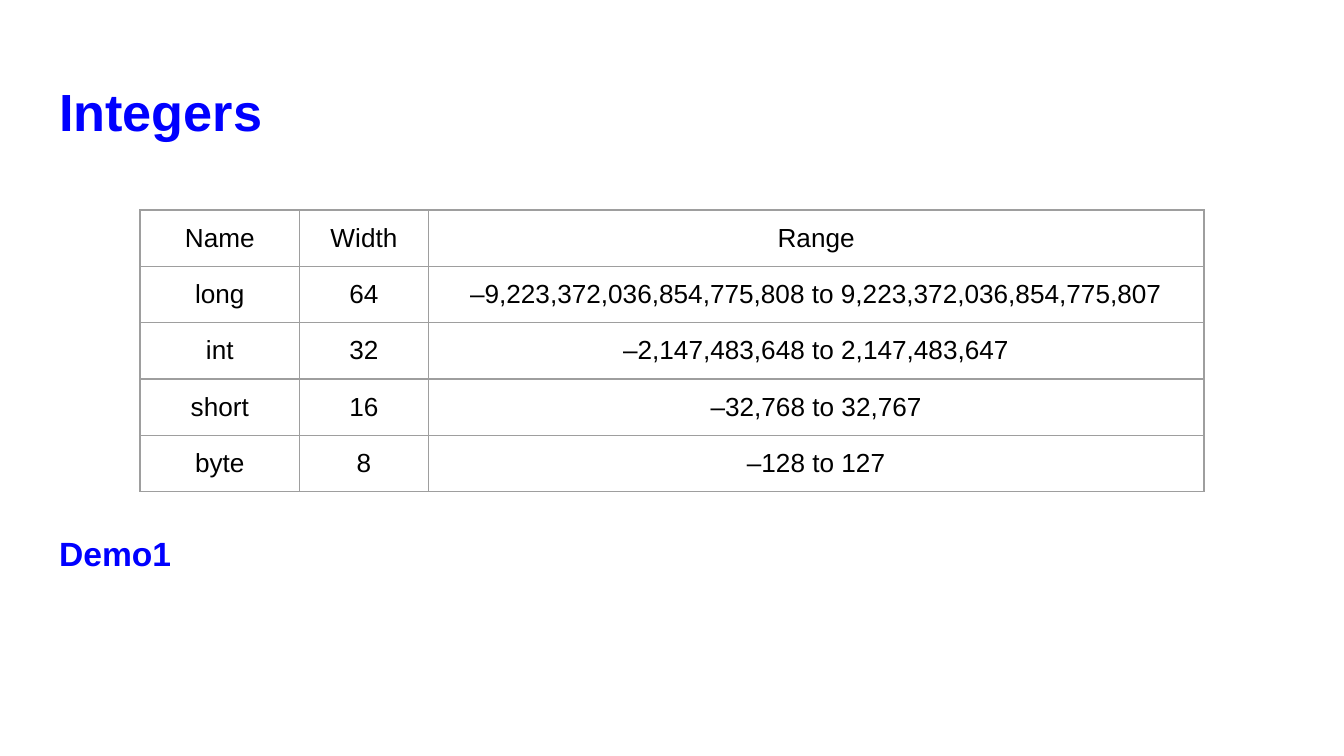
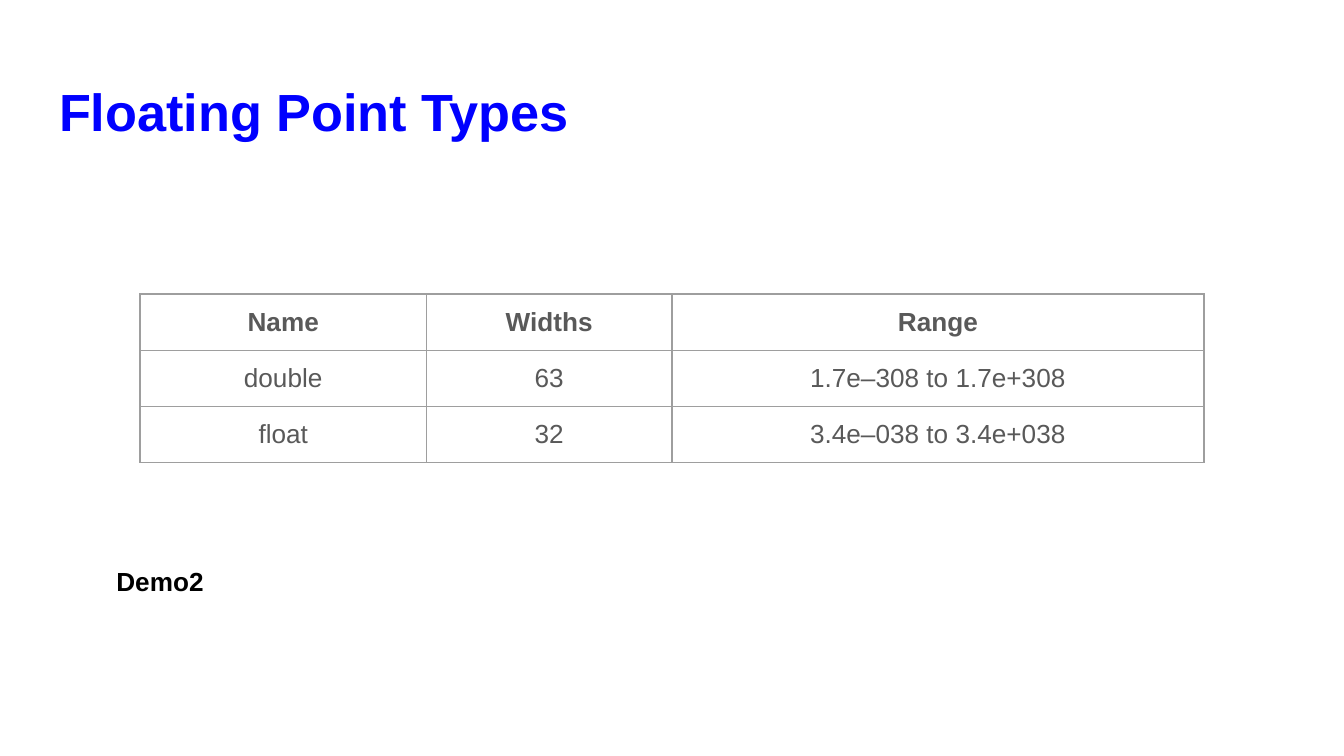
from pptx import Presentation
from pptx import util as u
from pptx.dml import color
from pptx.enum import text
from pptx.oxml import ns
from lxml import etree

COLORS = {"accent": "0000FF", "ink": "000000", "muted": "595959", "grid": "9E9E9E"}
FONT = "Arial"
INSET = 7.2
BORDER_WIDTH = 0.75
ROW_HEIGHT = 30
TABLE_LEFT = 75
TITLE_BOX = (24.5, 35.25, 671, 45.25)
TITLE_ONLY, TITLE_AND_BODY = 5, 1


class Deck:
    def __init__(self):
        self.prs = Presentation()
        self.prs.slide_width = u.Pt(720)
        self.prs.slide_height = u.Pt(405)
        self.slide = None

    def apply(self, target, values):
        for key, value in values.items():
            setattr(target, key, value)

    def style_text(self, paragraph, words, size, ink, bold=False, **layout):
        paragraph.text = words
        self.apply(paragraph, {"alignment": text.PP_ALIGN.LEFT, **layout})
        self.apply(paragraph.font, {"name": FONT, "size": u.Pt(size), "bold": bold})
        paragraph.font.color.rgb = color.RGBColor.from_string(COLORS[ink])

    def inset(self, target):
        sides = ("left", "top", "right", "bottom")
        self.apply(target, {f"margin_{side}": u.Pt(INSET) for side in sides})

    def fill_box(self, holder, box, words, size, ink, **layout):
        places = zip(("left", "top", "width", "height"), box)
        self.apply(holder, {key: u.Pt(value) for key, value in places})
        frame = holder.text_frame
        self.inset(frame)
        self.apply(frame, {
            "word_wrap": True,
            "auto_size": text.MSO_AUTO_SIZE.NONE,
            "vertical_anchor": text.MSO_ANCHOR.TOP,
        })
        self.style_text(frame.paragraphs[0], words, size, ink, True, **layout)

    def start(self, heading, layout):
        self.slide = self.prs.slides.add_slide(self.prs.slide_layouts[layout])
        self.fill_box(self.slide.shapes.title, TITLE_BOX, heading, 28, "accent")

    def body(self, words, box):
        holder = self.slide.placeholders[1]
        props = holder.text_frame.paragraphs[0]._p.get_or_add_pPr()
        for key in ("marL", "indent"):
            props.set(key, "0")
        etree.SubElement(props, ns.qn("a:buNone"))
        self.fill_box(holder, box, words, 18, "accent",
                      line_spacing=1.15, space_before=u.Pt(0))

    def note(self, words, box):
        holder = self.slide.shapes.add_textbox(*map(u.Pt, box))
        self.fill_box(holder, box, words, 14, "ink")

    def border(self, cell):
        props = cell._tc.get_or_add_tcPr()
        for side in ("lnL", "lnR", "lnT", "lnB"):
            line = etree.SubElement(props, ns.qn(f"a:{side}"), w=str(u.Pt(BORDER_WIDTH)))
            solid = etree.SubElement(line, ns.qn("a:solidFill"))
            etree.SubElement(solid, ns.qn("a:srgbClr"), val=COLORS["grid"])

    def table(self, rows, top, widths, ink, bold_header=False):
        frame = self.slide.shapes.add_table(
            len(rows), len(widths), u.Pt(TABLE_LEFT), u.Pt(top),
            u.Pt(sum(widths)), u.Pt(ROW_HEIGHT * len(rows)))
        grid = frame.table
        self.apply(grid, {"first_row": False, "horz_banding": False})
        for column, width in zip(grid.columns, widths):
            column.width = u.Pt(width)
        for r, row in enumerate(rows):
            grid.rows[r].height = u.Pt(ROW_HEIGHT)
            for c, words in enumerate(row):
                cell = grid.cell(r, c)
                self.border(cell)
                cell.fill.background()
                self.inset(cell)
                self.style_text(cell.text_frame.paragraphs[0], words, 14, ink,
                                bold_header and r == 0, alignment=text.PP_ALIGN.CENTER)


def main():
    deck = Deck()

    integers = [
        ("Name", "Width", "Range"),
        ("long", "64", "–9,223,372,036,854,775,808 to 9,223,372,036,854,775,807"),
        ("int", "32", "–2,147,483,648 to 2,147,483,647"),
        ("short", "16", "–32,768 to 32,767"),
        ("byte", "8", "–128 to 127"),
    ]
    deck.start("Integers", TITLE_AND_BODY)
    deck.body("Demo1", (24.5, 275, 671, 90))
    deck.table(integers, 112.5, (85.5, 69, 415.5), "ink")

    floats = [
        ("Name", "Widths", "Range"),
        ("double", "63", "1.7e–308 to 1.7e+308"),
        ("float", "32", "3.4e–038 to 3.4e+038"),
    ]
    deck.start("Floating Point Types", TITLE_ONLY)
    deck.table(floats, 157.5, (153.5, 131.5, 285), "muted", bold_header=True)
    deck.note("Demo2", (55.25, 295.5, 129.5, 36.5))

    deck.prs.save("out.pptx")


if __name__ == "__main__":
    main()
